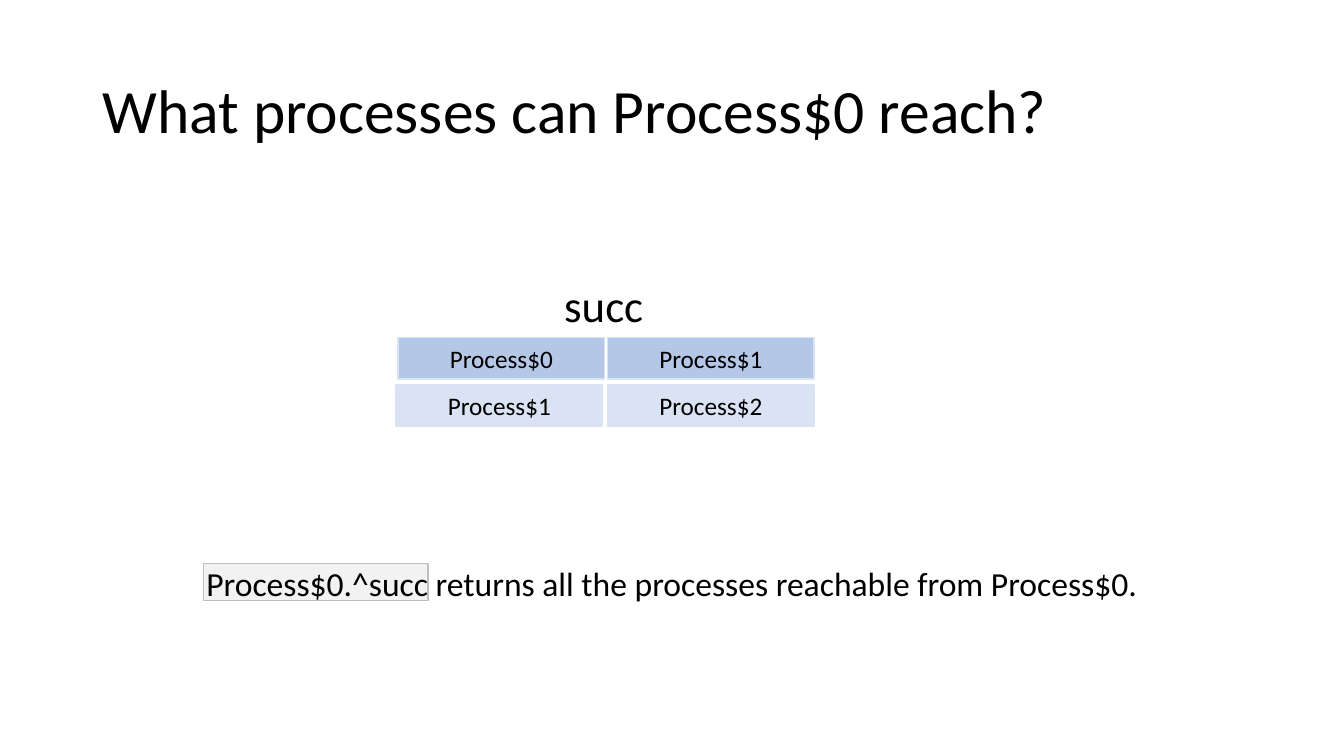
from dataclasses import dataclass

from pptx import Presentation
from pptx.dml.color import RGBColor
from pptx.enum.shapes import MSO_SHAPE
from pptx.enum.text import MSO_ANCHOR, MSO_AUTO_SIZE, PP_ALIGN
from pptx.util import Cm, Pt


@dataclass(frozen=True)
class Theme:
    """Colours, font and type sizes of the slide."""
    font: str = "Calibri"
    ink: str = "000000"
    row_dark: str = "B4C7E7"
    row_light: str = "DAE3F3"
    code_fill: str = "F2F2F2"
    code_line: str = "BFBFBF"
    title_size: int = 44
    heading_size: int = 32
    body_size: int = 24
    cell_size: int = 18


@dataclass(frozen=True)
class Box:
    """A rectangle in centimetres."""
    left: float
    top: float
    width: float
    height: float

    def lengths(self):
        """Return left, top, width and height as slide lengths."""
        return Cm(self.left), Cm(self.top), Cm(self.width), Cm(self.height)


THEME = Theme()


def write(shape, text, size, align=PP_ALIGN.LEFT, anchor=MSO_ANCHOR.TOP):
    """Put one formatted paragraph in a shape."""
    frame = shape.text_frame
    frame.text = text
    frame.word_wrap = True
    frame.vertical_anchor = anchor
    paragraph = frame.paragraphs[0]
    paragraph.alignment = align
    paragraph.font.name = THEME.font
    paragraph.font.size = Pt(size)
    paragraph.font.color.rgb = RGBColor.from_string(THEME.ink)
    return paragraph


def add_title(slide, box, text):
    """Place and format the title placeholder."""
    title = slide.shapes.title
    title.left, title.top, title.width, title.height = box.lengths()
    paragraph = write(title, text, THEME.title_size, anchor=MSO_ANCHOR.MIDDLE)
    paragraph.line_spacing = 0.9
    title.text_frame.auto_size = MSO_AUTO_SIZE.NONE


def add_label(slide, box, text, size):
    """Add a text box."""
    label = slide.shapes.add_textbox(*box.lengths())
    write(label, text, size)


def add_rectangle(slide, box, fill, line):
    """Add a filled rectangle with a thin outline."""
    shape = slide.shapes.add_shape(MSO_SHAPE.RECTANGLE, *box.lengths())
    shape.shadow.inherit = False
    shape.fill.solid()
    shape.fill.fore_color.rgb = RGBColor.from_string(fill)
    shape.line.color.rgb = RGBColor.from_string(line)
    shape.line.width = Pt(1)
    return shape


def add_relation(slide, box, name, rows):
    """Draw a relation as a heading over rows of paired cells."""
    add_label(slide, Box(box.left + 3.99, box.top, 2.69, 1.63), name, THEME.heading_size)
    cell_width, cell_height, row_pitch = 5.21, 1.04, 1.19
    right_column = box.left + box.width - cell_width
    first_row = box.top + box.height - cell_height - row_pitch * (len(rows) - 1)
    fills = (THEME.row_dark, THEME.row_light)
    left_columns = (box.left + 0.05, box.left)
    for index, (row, fill, left_column) in enumerate(zip(rows, fills, left_columns)):
        for text, left in zip(row, (left_column, right_column)):
            cell_box = Box(left, first_row + index * row_pitch, cell_width, cell_height)
            cell = add_rectangle(slide, cell_box, fill, THEME.row_light)
            write(cell, text, THEME.cell_size, PP_ALIGN.CENTER, MSO_ANCHOR.MIDDLE)


def add_explanation(slide, box, text):
    """Write a sentence over a panel that marks its leading expression."""
    panel = Box(box.left + 0.18, box.top + 0.13, 5.66, 0.94)
    add_rectangle(slide, panel, THEME.code_fill, THEME.code_line)
    add_label(slide, box, text, THEME.body_size)


def main():
    """Build the slide and save it."""
    presentation = Presentation()
    presentation.slide_width, presentation.slide_height = Cm(33.87), Cm(19.05)
    slide = presentation.slides.add_slide(presentation.slide_layouts[5])
    add_title(slide, Box(2.33, 1.02, 29.21, 3.68), "What processes can Process$0 reach?")
    add_relation(slide, Box(9.98, 6.88, 10.54, 3.86), "succ",
                 [("Process$0", "Process$1"), ("Process$1", "Process$2")])
    add_explanation(slide, Box(4.95, 14.07, 24.49, 1.27),
                    "Process$0.^succ returns all the processes reachable from Process$0.")
    presentation.save("out.pptx")


if __name__ == "__main__":
    main()
